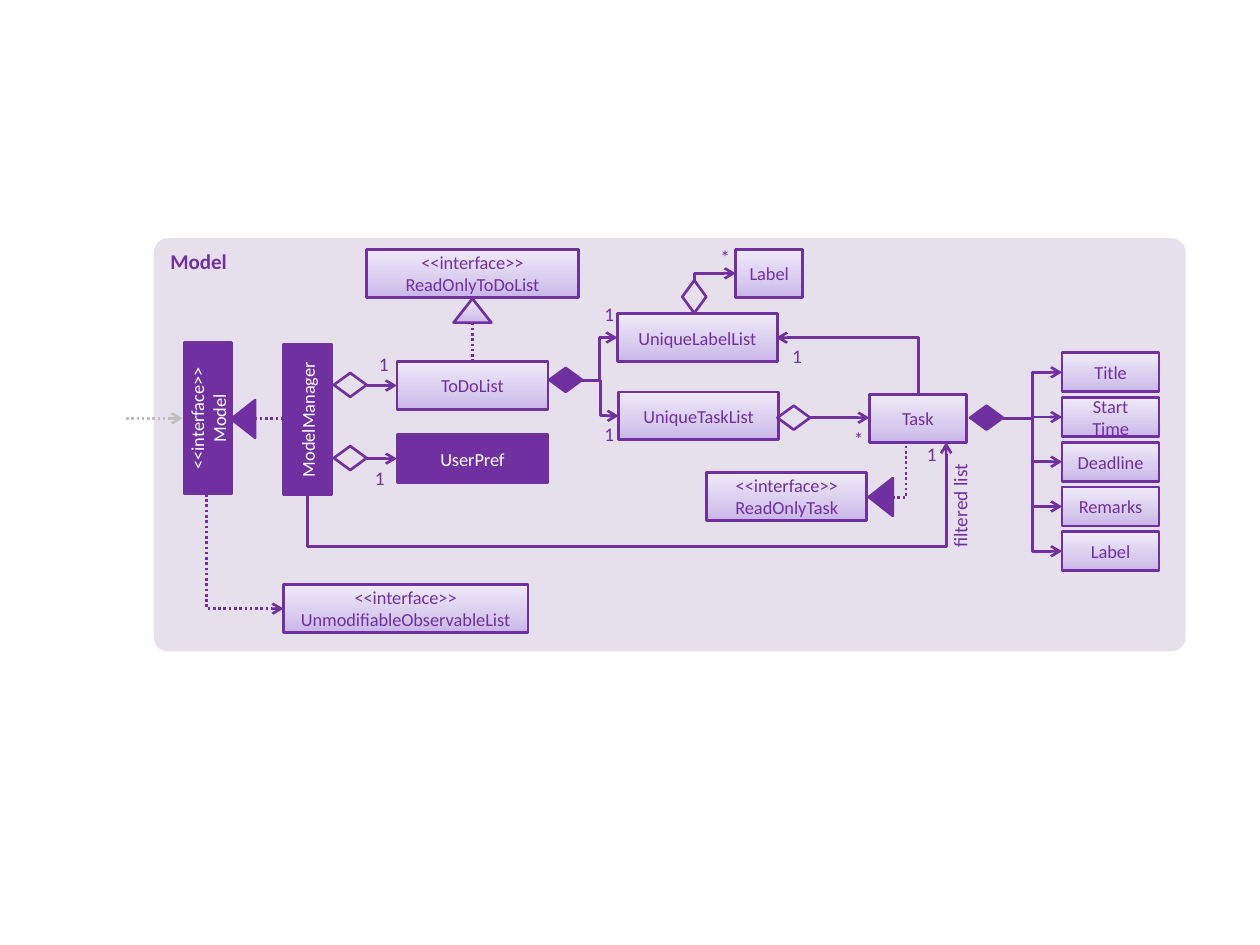
from copy import deepcopy
from pptx import Presentation
from pptx.dml.color import RGBColor
from pptx.enum.dml import MSO_LINE
from pptx.enum.shapes import MSO_CONNECTOR, MSO_SHAPE
from pptx.enum.text import MSO_ANCHOR, PP_ALIGN
from pptx.oxml.ns import qn
from pptx.util import Inches, Pt
from lxml import etree

RECT, TRIANGLE = MSO_SHAPE.RECTANGLE, MSO_SHAPE.ISOSCELES_TRIANGLE
DIAMOND, PANEL = MSO_SHAPE.FLOWCHART_DECISION, MSO_SHAPE.ROUNDED_RECTANGLE
STRAIGHT, ELBOW = MSO_CONNECTOR.STRAIGHT, MSO_CONNECTOR.ELBOW
DOTTED = MSO_LINE.ROUND_DOT
LEFT, CENTER, RIGHT = PP_ALIGN.LEFT, PP_ALIGN.CENTER, PP_ALIGN.RIGHT
TOP, MIDDLE = MSO_ANCHOR.TOP, MSO_ANCHOR.MIDDLE

COLORS = {"purple": "7030A0", "panel": "E6E0EC", "white": "FFFFFF", "grey": "BFBFBF"}
LILAC = [(0, "C9B5E8"), (0.35, "D8CBEE"), (1, "F0EAF9")]

prs = Presentation()
prs.slide_width, prs.slide_height = Inches(10), Inches(7.5)
slide = prs.slides.add_slide(prs.slide_layouts[6])
shapes = slide.shapes


def add_node(kind, x, y, w, h, fill, text="", rotation=0, color="purple"):
    """Add an outlined shape, filled solid, with the lilac gradient or not at all."""
    s = shapes.add_shape(kind, Inches(x), Inches(y), Inches(w), Inches(h))
    s.shadow.inherit = False
    s.rotation = rotation
    s.line.color.rgb = RGBColor.from_string(COLORS["purple"])
    s.line.width = Pt(1.5)
    if fill == "lilac":
        s.fill.gradient()
        s.fill.gradient_angle = 90
        stops = s._element.spPr.find(".//" + qn("a:gsLst"))
        stops.insert(1, deepcopy(stops[0]))
        for stop, (position, shade) in zip(s.fill.gradient_stops, LILAC):
            stop.position = position
            stop.color.rgb = RGBColor.from_string(shade)
    elif fill:
        s.fill.solid()
        s.fill.fore_color.rgb = RGBColor.from_string(COLORS[fill])
    else:
        s.fill.background()
    if text:
        tf = s.text_frame
        tf.text = text
        tf.word_wrap = True
        tf.vertical_anchor = MIDDLE
        for p in tf.paragraphs:
            p.alignment = CENTER
            p.font.size, p.font.name = Pt(10.5), "Calibri"
            p.font.color.rgb = RGBColor.from_string(COLORS[color])
    return s


def add_link(x1, y1, x2, y2, preset="line", vertical=False, dotted=False,
             arrow=True, color="purple", adjust=()):
    """Connect two points; a vertical link leaves its start up or down."""
    dx, dy = x2 - x1, y2 - y1
    c = shapes.add_connector(STRAIGHT if preset == "line" else ELBOW,
                             Inches(x1), Inches(y1), Inches(x2), Inches(y2))
    c.line.color.rgb = RGBColor.from_string(COLORS[color])
    c.line.width = Pt(1.5)
    if dotted:
        c.line.dash_style = DOTTED
    spPr = c._element.spPr
    if arrow:
        etree.SubElement(c.line._get_or_add_ln(), qn("a:tailEnd"), type="arrow")
    etree.SubElement(spPr, qn("a:effectLst"))
    geometry = spPr.find(qn("a:prstGeom"))
    geometry.set("prst", preset)
    guides = geometry.find(qn("a:avLst"))
    for i, value in enumerate(adjust, 1):
        etree.SubElement(guides, qn("a:gd"), name=f"adj{i}", fmla=f"val {value}")
    if vertical:
        # The frame is turned by 90 degrees about its centre.
        w, h = abs(dy), abs(dx)
        c.left, c.top = Inches((x1 + x2 - w) / 2), Inches((y1 + y2 - h) / 2)
        c.width, c.height = Inches(w), Inches(h)
        xfrm = spPr.find(qn("a:xfrm"))
        xfrm.set("rot", "5400000")
        xfrm.set("flipH", str(int(dy < 0)))
        xfrm.set("flipV", str(int(dx > 0)))


panel = add_node(PANEL, 1.22, 1.89, 8.19, 3.28, "panel", "Model")
panel.adjustments[0] = 0.035
panel.line.fill.background()
panel.text_frame.vertical_anchor = TOP
p = panel.text_frame.paragraphs[0]
p.alignment, p.font.size, p.font.bold = LEFT, Pt(12), True

# Links
add_link(1, 3.32, 1.45, 3.32, dotted=True, color="grey")
add_link(2.02, 3.32, 2.26, 3.32, dotted=True, arrow=False)
add_link(3.75, 2.56, 3.75, 2.88, dotted=True, arrow=False)
for x1, x2, y in [(2.91, 3.15, 3.06), (2.91, 3.15, 3.64), (6.43, 6.9, 3.315)]:
    add_link(x1, y, x2, y)
add_link(7.08, 3.95, 7.19, 3.49, "bentConnector2", dotted=True, arrow=False)
add_link(2.44, 3.92, 7.51, 3.51, "bentConnector4", vertical=True,
         adjust=(-101800, 100000))
add_link(4.62, 3.02, 4.91, 3.3, "bentConnector3")
add_link(4.62, 3.02, 4.9, 2.68, "bentConnector3")
add_link(5.51, 2.23, 5.84, 2.17, "bentConnector2", vertical=True)
add_link(1.64, 3.92, 2.25, 4.83, "bentConnector2", vertical=True, dotted=True)
add_link(7.29, 3.13, 6.16, 2.68, "bentConnector2", vertical=True)

# Classes
for x, y, text in [(1.05, 3.13, "<<interface>>\nModel"), (1.84, 3.14, "ModelManager")]:
    add_node(RECT, x, y, 1.2, 0.38, "purple", text, 270, "white")
add_node(RECT, 3.15, 3.45, 1.2, 0.38, "purple", "UserPref", color="white")
for x, y, w, text in [
    (3.15, 2.87, 1.2, "ToDoList"),
    (4.91, 3.11, 1.27, "UniqueTaskList"),
    (4.9, 2.49, 1.27, "UniqueLabelList"),
    (6.9, 3.13, 0.77, "Task"),
    (5.84, 1.98, 0.53, "Label"),
    (5.61, 3.75, 1.27, "<<interface>>\vReadOnlyTask"),
    (2.91, 1.98, 1.68, "<<interface>>\vReadOnlyToDoList"),
    (2.25, 4.64, 1.94, "<<interface>>\vUnmodifiableObservableList"),
]:
    add_node(RECT, x, y, w, 0.38, "lilac", text)

# Task fields
for i, text in enumerate(["Title", "Start Time", "Deadline", "Remarks", "Label"]):
    y = 2.8 + i * 0.355
    add_link(7.96, 3.32, 8.43, y + 0.155, "bentConnector3")
    add_node(RECT, 8.43, y, 0.77, 0.31, "lilac", text)

# Link ends
for x, y, rotation, fill in [(1.78, 3.23, 270, "purple"), (6.84, 3.85, 270, "purple"),
                             (3.6, 2.37, 0, "lilac")]:
    add_node(TRIANGLE, x, y, 0.3, 0.19, fill, rotation=rotation)
for x, y, rotation, fill in [
    (2.65, 3.54, 0, None), (2.65, 2.96, 0, None), (6.17, 3.22, 0, None),
    (5.38, 2.26, 270, None), (4.36, 2.92, 0, "purple"), (7.7, 3.22, 0, "purple"),
]:
    add_node(DIAMOND, x, y, 0.26, 0.19, fill, rotation=rotation)

# Link labels
for x, y, text in [
    (4.73, 2.4, "1"), (4.73, 3.35, "1"), (6.22, 2.73, "1"), (5.65, 1.95, "*"),
    (6.71, 3.39, "*"), (2.94, 2.8, "1"), (2.91, 3.7, "1"), (7.29, 3.51, "1"),
    (7.14, 3.92, "filtered list"),
]:
    multiplicity = len(text) == 1
    w, h = (0.21, 0.2) if multiplicity else (0.96, 0.29)
    s = shapes.add_textbox(Inches(x), Inches(y), Inches(w), Inches(h))
    tf = s.text_frame
    tf.text = text
    tf.word_wrap = True
    p = tf.paragraphs[0]
    p.alignment = CENTER if multiplicity else RIGHT
    p.font.size, p.font.name = Pt(11), "Calibri"
    p.font.color.rgb = RGBColor.from_string(COLORS["purple"])
    if multiplicity:
        tf.margin_left = tf.margin_right = tf.margin_top = tf.margin_bottom = 0
    else:
        s.rotation = 270

prs.save("out.pptx")
